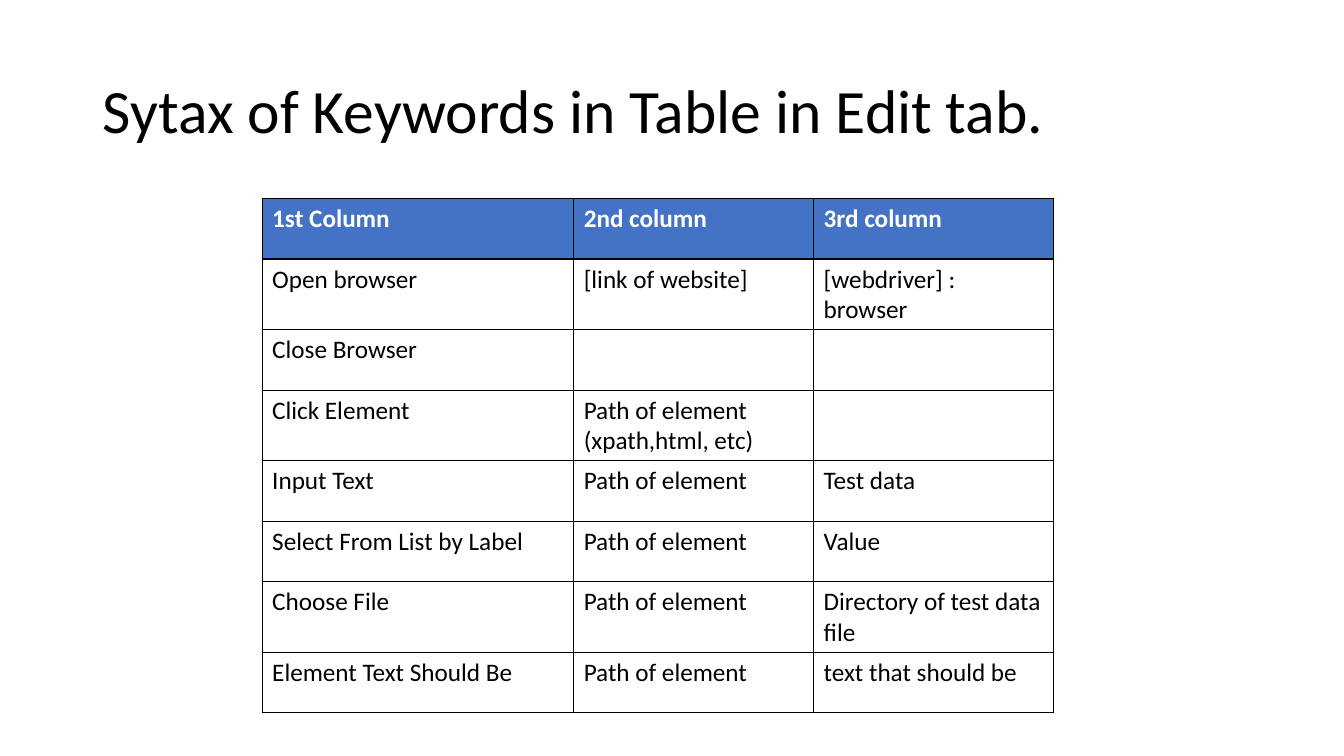
from dataclasses import dataclass

from lxml.etree import SubElement
from pptx import Presentation
from pptx.dml.color import RGBColor
from pptx.enum.text import MSO_ANCHOR
from pptx.oxml.ns import qn
from pptx.util import Inches, Pt

FONT = "Calibri"
BLACK = "000000"
WHITE = "FFFFFF"
BLUE = "4472C4"


@dataclass
class CellStyle:
    fill: str
    color: str
    bold: bool


HEADER = CellStyle(BLUE, WHITE, True)
BODY = CellStyle(WHITE, BLACK, False)

COLUMN_WIDTHS = [3.09, 2.38, 2.38]
ROW_HEIGHT = 0.6
KEYWORD_ROWS = [
    ("1st Column", "2nd column", "3rd column"),
    ("Open browser", "[link of website]", "[webdriver] : browser"),
    ("Close Browser", "", ""),
    ("Click Element", "Path of element (xpath,html, etc)", ""),
    ("Input Text", "Path of element", "Test data"),
    ("Select From List by Label", "Path of element", "Value"),
    ("Choose File", "Path of element", "Directory of test data file"),
    ("Element Text Should Be", "Path of element", "text that should be"),
]


def rgb(value: str) -> RGBColor:
    return RGBColor.from_string(value)


def style_font(font, size: float, color: str, bold: bool = False) -> None:
    font.name = FONT
    font.size = Pt(size)
    font.bold = bold
    font.color.rgb = rgb(color)


def add_borders(cell, color: str, width: float) -> None:
    tc_pr = cell._tc.get_or_add_tcPr()
    for side in ("a:lnL", "a:lnR", "a:lnT", "a:lnB"):
        ln = SubElement(tc_pr, qn(side), w=str(Pt(width)))
        fill = SubElement(ln, qn("a:solidFill"))
        SubElement(fill, qn("a:srgbClr"), val=color)


def fill_cell(cell, text: str, style: CellStyle) -> None:
    add_borders(cell, BLACK, 1)
    cell.fill.solid()
    cell.fill.fore_color.rgb = rgb(style.fill)
    cell.text_frame.text = text
    p = cell.text_frame.paragraphs[0]
    for r in p.runs:
        style_font(r.font, 18, style.color, style.bold)


def add_title(slide, text: str) -> None:
    sp = slide.shapes.add_textbox(Inches(0.92), Inches(0.4), Inches(11.5), Inches(1.45))
    tf = sp.text_frame
    tf.word_wrap = True
    tf.vertical_anchor = MSO_ANCHOR.MIDDLE
    tf.text = text
    p = tf.paragraphs[0]
    p.line_spacing = 0.9
    style_font(p.runs[0].font, 44, BLACK)


def add_keyword_table(slide) -> None:
    table = slide.shapes.add_table(
        len(KEYWORD_ROWS), len(COLUMN_WIDTHS), Inches(2.6), Inches(1.97),
        Inches(sum(COLUMN_WIDTHS)), Inches(ROW_HEIGHT * len(KEYWORD_ROWS)),
    ).table
    for column, width in zip(table.columns, COLUMN_WIDTHS):
        column.width = Inches(width)
    for i, texts in enumerate(KEYWORD_ROWS):
        table.rows[i].height = Inches(ROW_HEIGHT)
        for cell, text in zip(table.rows[i].cells, texts):
            fill_cell(cell, text, BODY if i else HEADER)


def main() -> None:
    prs = Presentation()
    prs.slide_width = Inches(13.33)
    prs.slide_height = Inches(7.5)
    slide = prs.slides.add_slide(prs.slide_layouts[6])
    add_title(slide, "Sytax of Keywords in Table in Edit tab.")
    add_keyword_table(slide)
    prs.save("out.pptx")


if __name__ == "__main__":
    main()
